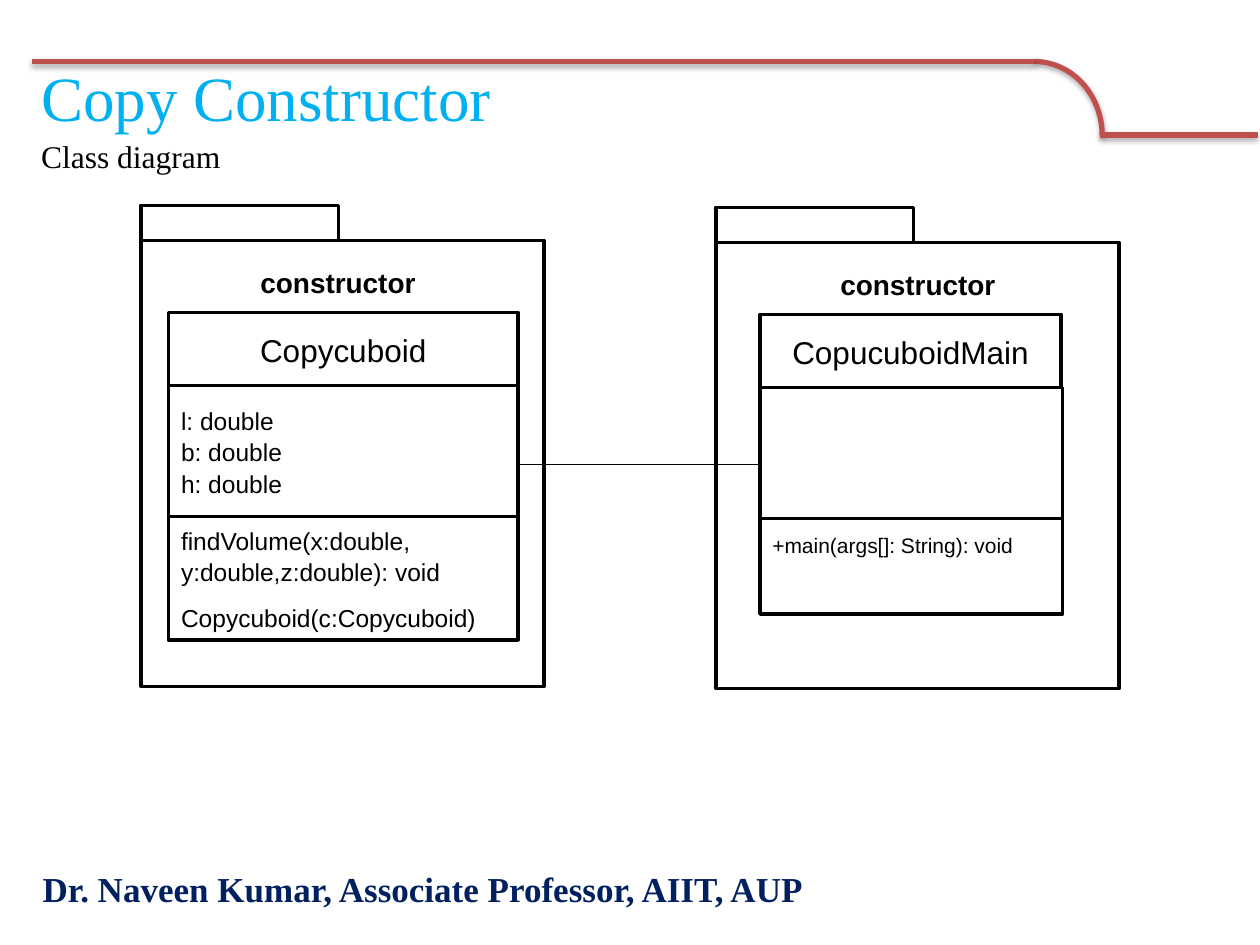
from dataclasses import dataclass

from lxml.etree import SubElement
from pptx import Presentation
from pptx.dml.color import RGBColor
from pptx.enum.shapes import MSO_CONNECTOR, MSO_SHAPE
from pptx.enum.text import MSO_ANCHOR, PP_ALIGN
from pptx.oxml.ns import qn
from pptx.util import Cm, Pt

BLACK, WHITE, RED = "000000", "FFFFFF", "C0504D"
SERIF, SANS = "Times New Roman", "Arial"


@dataclass
class Area:
    left: float
    top: float
    width: float
    height: float

    def lengths(self) -> list:
        return [Cm(value) for value in (self.left, self.top, self.width, self.height)]


@dataclass
class Line:
    """One paragraph of a class compartment, with the space after it."""
    text: str
    after: float = 8


@dataclass
class Package:
    """A UML package holding one class."""
    left: float
    top: float
    label_left: float
    class_left: float
    header_width: float
    class_width: float
    operations_height: float
    class_name: str
    attributes: list
    operations: list
    operations_format: dict
    operations_frame: dict


def colour(value: str) -> RGBColor:
    return RGBColor.from_string(value)


def apply(target, values: dict) -> None:
    for name, value in values.items():
        if name == "color":
            target.color.rgb = colour(value)
        else:
            setattr(target, name, value)


def write(shape, lines: list, font: dict, frame: dict, paragraph: dict) -> None:
    text_frame = shape.text_frame
    apply(text_frame, {"word_wrap": True, **frame})
    for index, line in enumerate(lines):
        para = text_frame.paragraphs[0] if index == 0 else text_frame.add_paragraph()
        apply(para, {**paragraph, "space_after": Pt(line.after)})
        span = para.add_run()
        span.text = line.text
        apply(span.font, {"color": BLACK, **font})


def add_text(page, area: Area, text: str, font: dict, frame: dict, paragraph: dict) -> None:
    box = page.shapes.add_textbox(*area.lengths())
    write(box, [Line(text, 0)], font, frame, paragraph)


def add_box(page, area: Area, lines: list, font: dict, paragraph: dict,
            outlined: bool = True, frame: dict = {}) -> None:
    box = page.shapes.add_shape(MSO_SHAPE.RECTANGLE, *area.lengths())
    box.shadow.inherit = False
    box.fill.solid()
    box.fill.fore_color.rgb = colour(WHITE)
    if outlined:
        apply(box.line, {"color": BLACK, "width": Pt(2)})
    else:
        box.line.fill.background()
    write(box, lines, {"name": SANS, **font},
          {"vertical_anchor": MSO_ANCHOR.MIDDLE, **frame},
          {"line_spacing": 1.07, **paragraph})


def add_line(page, start: tuple, end: tuple, line_colour: str, width: float):
    points = [Cm(value) for value in (*start, *end)]
    line = page.shapes.add_connector(MSO_CONNECTOR.STRAIGHT, *points)
    apply(line.line, {"color": line_colour, "width": Pt(width)})
    SubElement(line._element.spPr, qn("a:effectLst"))
    return line


def add_soft_shadow(shape) -> None:
    effects = shape._element.spPr.find(qn("a:effectLst"))
    shadow = SubElement(effects, qn("a:outerShdw"), blurRad="40000", dist="23000",
                        dir="5400000", rotWithShape="0")
    shade = SubElement(shadow, qn("a:srgbClr"), val=BLACK)
    SubElement(shade, qn("a:alpha"), val="35000")


def add_ornament(page) -> None:
    arc = page.shapes.add_shape(MSO_SHAPE.ARC, *Area(19.48, 1.24, 2.74, 2.97).lengths())
    arc.shadow.inherit = False
    arc.fill.background()
    apply(arc.line, {"color": RED, "width": Pt(3)})
    parts = [add_line(page, (22.17, 2.72), (25.35, 2.72), RED, 3), arc,
             add_line(page, (20.85, 1.24), (0.64, 1.24), RED, 3)]
    for part in parts:
        add_soft_shadow(part)


def add_package(page, package: Package) -> None:
    left, top = package.left, package.top
    centred = {"alignment": PP_ALIGN.CENTER}
    leading = {"alignment": PP_ALIGN.LEFT}

    # Folder outline and package name
    for area in (Area(left, top, 3.99, 0.94), Area(left, top + 0.71, 8.13, 8.99)):
        add_box(page, area, [], {}, {})
    add_box(page, Area(package.label_left, top + 0.99, 4.29, 1.07), [Line("constructor")],
            {"size": Pt(16), "bold": True}, centred, outlined=False)

    # Class compartments, stacked downwards
    row = top + 2.16
    compartments = [
        (package.header_width, 1.47, [Line(package.class_name)], {"size": Pt(18)}, centred, {}),
        (package.class_width, 2.64, package.attributes, {"size": Pt(14)}, leading, {}),
        (package.class_width, package.operations_height, package.operations,
         package.operations_format, leading, package.operations_frame),
    ]
    for width, height, lines, font, paragraph, frame in compartments:
        add_box(page, Area(package.class_left, row, width, height), lines, font,
                paragraph, frame=frame)
        row += height


PACKAGES = [
    Package(2.84, 4.14, 4.67, 3.4, 7.04, 7.04, 2.49, "Copycuboid",
            [Line("l: double", 0), Line("b: double", 0), Line("h: double")],
            [Line("findVolume(x:double, y:double,z:double): void"),
             Line("Copycuboid(c:Copycuboid)")],
            {"size": Pt(14)}, {}),
    Package(14.43, 4.18, 16.36, 15.32, 6.07, 6.1, 1.93, "CopucuboidMain",
            [], [Line("+main(args[]: String): void")], {"size": Pt(12)},
            {"vertical_anchor": MSO_ANCHOR.TOP, "margin_top": Cm(0.25)}),
]


def main() -> None:
    deck = Presentation()
    deck.slide_width, deck.slide_height = Cm(25.4), Cm(19.05)
    page = deck.slides.add_slide(deck.slide_layouts[6])

    # Heading, subheading and footer
    add_ornament(page)
    middle = {"vertical_anchor": MSO_ANCHOR.MIDDLE}
    add_text(page, Area(0.58, 1.45, 20.52, 0.97), "Copy Constructor",
             {"name": SERIF, "size": Pt(36), "color": "00B0F0"}, middle, {})
    add_text(page, Area(0.58, 2.64, 22.86, 14.96), "Class diagram",
             {"name": SERIF, "size": Pt(18)}, {}, {"alignment": PP_ALIGN.JUSTIFY})
    add_text(page, Area(0.61, 17.25, 24.23, 1.32),
             "Dr. Naveen Kumar, Associate Professor, AIIT, AUP",
             {"name": SERIF, "size": Pt(20), "bold": True, "color": "002060"}, middle, {})

    # Class diagram with its association
    for package in PACKAGES:
        add_package(page, package)
    add_line(page, (10.44, 9.37), (15.32, 9.37), BLACK, 0.75)

    deck.save("out.pptx")


if __name__ == "__main__":
    main()
